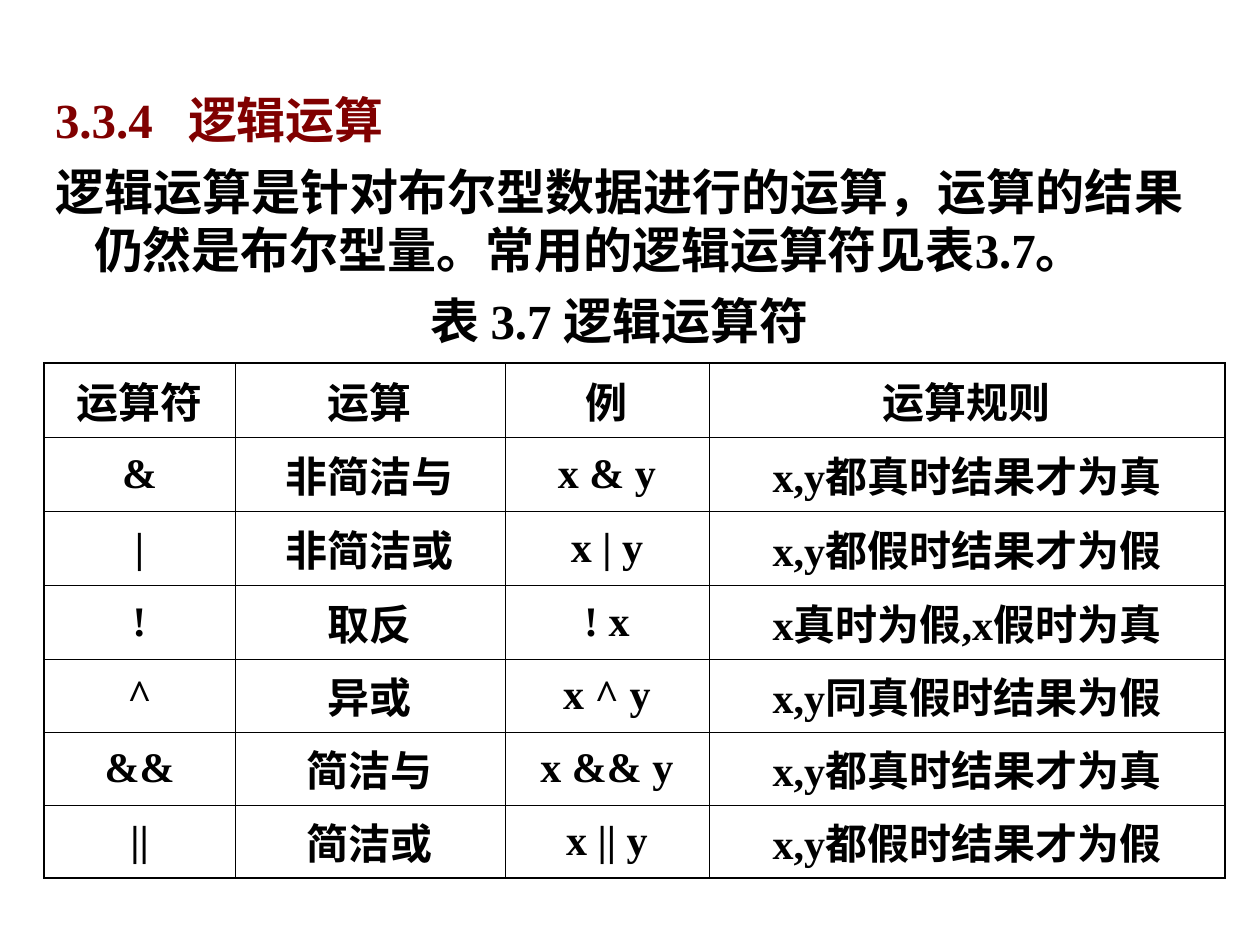
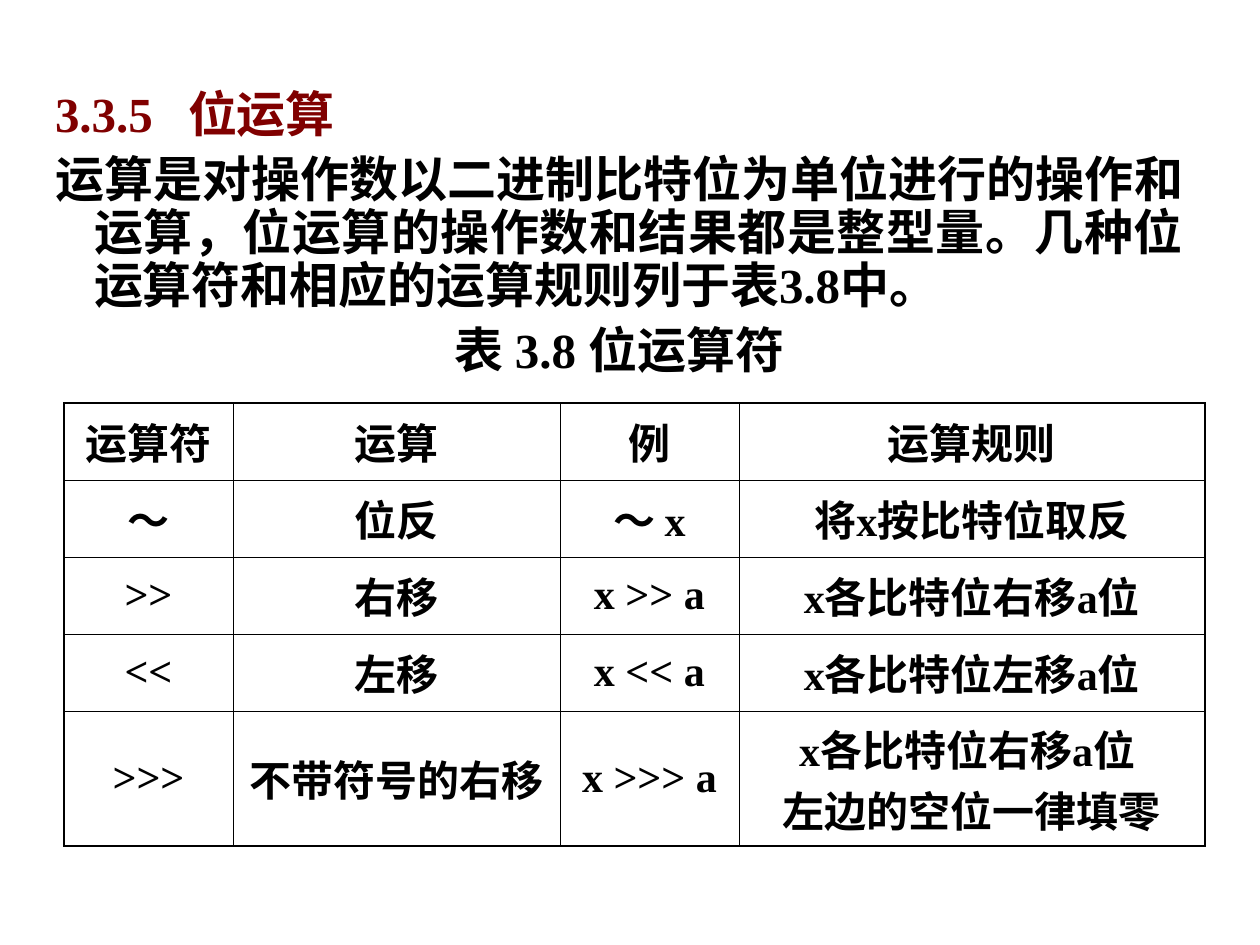
from lxml import etree
from pptx import Presentation
from pptx.dml.color import RGBColor
from pptx.enum.lang import MSO_LANGUAGE_ID
from pptx.enum.text import MSO_ANCHOR, PP_ALIGN
from pptx.oxml.ns import qn
from pptx.util import Pt

MID = MSO_ANCHOR.MIDDLE
CENTER, JUST = PP_ALIGN.CENTER, PP_ALIGN.JUSTIFY
CHINESE = MSO_LANGUAGE_ID.SIMPLIFIED_CHINESE

# Shared look
FONT = "Times New Roman"
BLACK, MAROON = "000000", "800000"
OUTER, HEAD, INNER = 1.08, 0.45, 0.34  # border widths in points
PAD_X, PAD_Y = 13, 6
HANG, TAB = 39, 133  # hanging indent of body text, tab after section number
HEADER = ("运算符", "运算", "例", "运算规则")

# Content
LOGIC = {
    "title": ("3.3.4", "逻辑运算"),
    "body": "逻辑运算是针对布尔型数据进行的运算，运算的结果仍然是布尔型量。"
            "常用的逻辑运算符见表3.7。",
    "caption": "表 3.7 逻辑运算符",
    "box": (42, 84, 1155, 280),
    "lead": 1.0,
    "at": (44, 363),
    "cols": (191, 270, 204, 516),
    "rows": [74] * 4 + [73] * 3,
    "cells": [
        ("&", "非简洁与", "x & y", "x,y都真时结果才为真"),
        ("|", "非简洁或", "x | y", "x,y都假时结果才为假"),
        ("!", "取反", "! x", "x真时为假,x假时为真"),
        ("^", "异或", "x ^ y", "x,y同真假时结果为假"),
        ("&&", "简洁与", "x && y", "x,y都真时结果才为真"),
        ("||", "简洁或", "x || y", "x,y都假时结果才为假"),
    ],
}
BITS = {
    "title": ("3.3.5", "位运算"),
    "body": "运算是对操作数以二进制比特位为单位进行的操作和运算，"
            "位运算的操作数和结果都是整型量。"
            "几种位运算符和相应的运算规则列于表3.8中。",
    "caption": "表 3.8 位运算符",
    "box": (42, 84, 1155, 309),
    "lead": 0.9,
    "at": (64, 403),
    "cols": (169, 327, 179, 466),
    "rows": [77] * 4 + [135],
    "cells": [
        ("～", "位反", "～ x", "将x按比特位取反"),
        (">>", "右移", "x >> a", "x各比特位右移a位"),
        ("<<", "左移", "x << a", "x各比特位左移a位"),
        (">>>", "不带符号的右移", "x >>> a",
         "x各比特位右移a位 \n左边的空位一律填零"),
    ],
}


def px(n):
    return round(n * 914400 / 126)


def rgb(color):
    return RGBColor.from_string(color)


def write(para, text, size=24, color=BLACK, align=CENTER, lead=None,
          gap=0, hang=0, tab=None):
    """Fill one paragraph with bold text."""
    props = para._p.get_or_add_pPr()
    if hang:
        props.set("marL", str(px(hang)))
        props.set("indent", str(-px(hang)))
    if tab:
        stops = etree.SubElement(props, qn("a:tabLst"))
        etree.SubElement(stops, qn("a:tab"), pos=str(px(tab)), algn="l")
    para.alignment = align
    para.space_before = Pt(gap)
    if lead:
        para.line_spacing = lead
    run = para.add_run()
    run.text = text
    font = run.font
    font.name, font.size, font.bold = FONT, Pt(size), True
    font.color.rgb = rgb(color)
    font.language_id = CHINESE


def border(cell, side, width):
    props = cell._tc.get_or_add_tcPr()
    line = etree.SubElement(props, qn("a:ln" + side), w=str(Pt(width)))
    fill = etree.SubElement(line, qn("a:solidFill"))
    etree.SubElement(fill, qn("a:srgbClr"), val=BLACK)


def pad(part):
    """Set the insets of a text frame or a table cell."""
    part.margin_left = part.margin_right = px(PAD_X)
    part.margin_top = part.margin_bottom = px(PAD_Y)


def add_text(slide, data):
    frame = slide.shapes.add_textbox(*map(px, data["box"])).text_frame
    frame.word_wrap = True
    pad(frame)
    lead = data["lead"]
    write(frame.paragraphs[0], "\t".join(data["title"]), size=28,
          color=MAROON, align=JUST, lead=lead, tab=TAB)
    write(frame.add_paragraph(), data["body"], size=28, align=JUST,
          lead=lead, gap=7, hang=HANG)
    write(frame.add_paragraph(), data["caption"], size=28, lead=lead, gap=7)


def add_grid(slide, data):
    cols, rows = data["cols"], data["rows"]
    size = sum(cols), sum(rows)
    table = slide.shapes.add_table(
        len(rows), len(cols), *map(px, data["at"] + size)).table
    table.first_row = table.horz_banding = False
    for col, width in zip(table.columns, cols):
        col.width = px(width)
    for row, height in zip(table.rows, rows):
        row.height = px(height)

    for r, line in enumerate([HEADER] + data["cells"]):
        thin = INNER if r else HEAD
        for c, text in enumerate(line):
            cell = table.cell(r, c)
            cell.vertical_anchor = MID
            pad(cell)
            # Heavy frame outside, thin rules inside
            border(cell, "L", thin if c else OUTER)
            border(cell, "R", thin if c < len(cols) - 1 else OUTER)
            border(cell, "T", {0: OUTER, 1: HEAD}.get(r, INNER))
            border(cell, "B", thin if r < len(rows) - 1 else OUTER)
            cell.fill.background()
            frame = cell.text_frame
            for i, part in enumerate(text.split("\n")):
                write(frame.add_paragraph() if i else frame.paragraphs[0],
                      part)


def main():
    prs = Presentation()
    prs.slide_width, prs.slide_height = px(1260), px(945)
    for data in (LOGIC, BITS):
        slide = prs.slides.add_slide(prs.slide_layouts[6])
        add_text(slide, data)
        add_grid(slide, data)
    prs.save("out.pptx")


if __name__ == "__main__":
    main()
